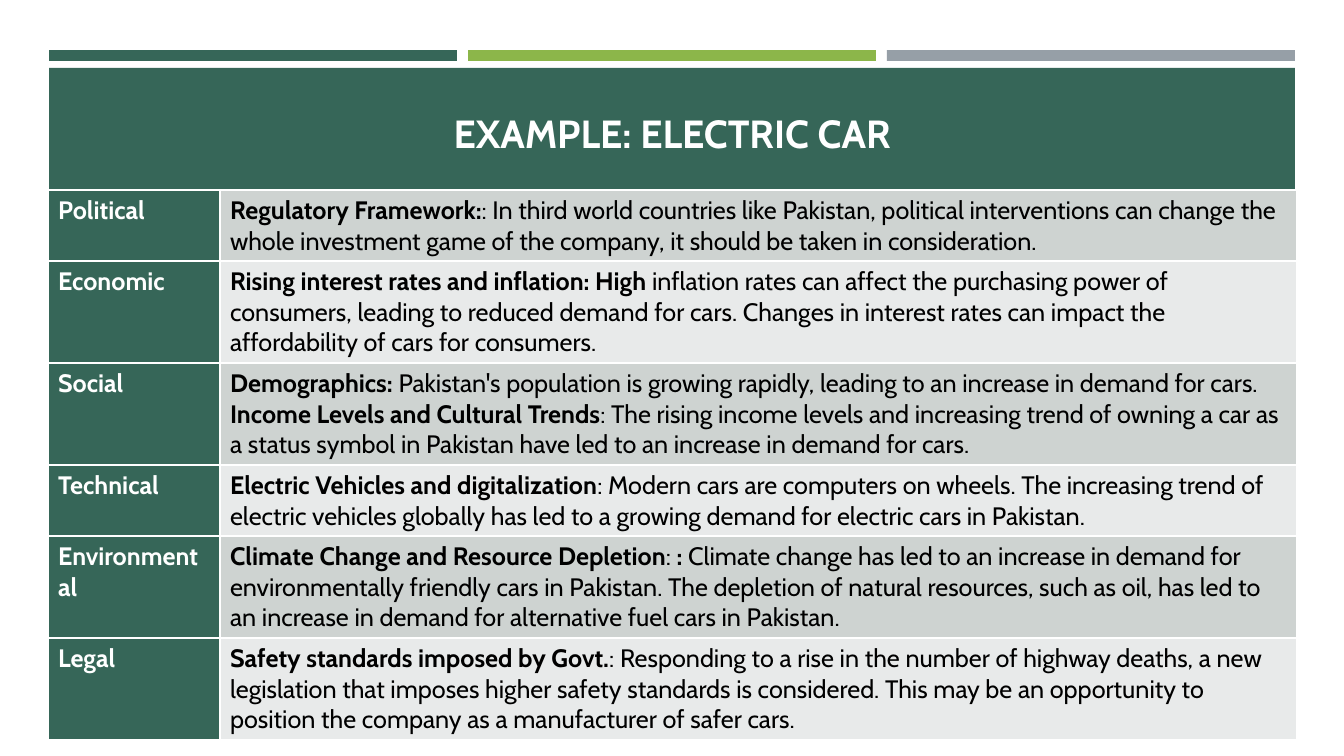
from pptx import Presentation
from pptx.dml.color import RGBColor as RGB
from pptx.enum.shapes import MSO_SHAPE as Shape
from pptx.enum.text import MSO_ANCHOR as Anchor, PP_ALIGN as Align
from pptx.oxml import parse_xml
from pptx.oxml.ns import nsdecls
from pptx.util import Pt

PX = 914400 / 100.8
GREEN, LIME, GREY, WHITE, BLACK = "366658", "8CB64A", "969FA7", "FFFFFF", "000000"
BANDS = ["CED3D1", "E8EAEA"]


def px(*sizes):
    return [round(size * PX) for size in sizes]


def write(frame, text, size=18, color=BLACK, align=Align.LEFT, anchor=Anchor.TOP):
    """Bold and regular runs take turns, parted by a bar."""
    frame.word_wrap = True
    frame.vertical_anchor = anchor
    para = frame.paragraphs[0]
    para.alignment = align
    for i, part in enumerate(text.split("|")):
        run = para.add_run()
        run.text = part
        run.font.name = "Cabin"
        run.font.size = Pt(size)
        run.font.bold = i % 2 == 0
        run.font.color.rgb = RGB.from_string(color)


prs = Presentation()
prs.slide_width, prs.slide_height = px(1344, 756)
slide = prs.slides.add_slide(prs.slide_layouts[6])
shapes = slide.shapes

# Top bars and title band
blocks = [(49 + 419 * i, 50, 408, 11, color) for i, color in enumerate([GREEN, LIME, GREY])]
blocks.append((49, 68, 1246, 131, GREEN))
for *place, color in blocks:
    block = shapes.add_shape(Shape.RECTANGLE, *px(*place))
    block.shadow.inherit = False
    block.fill.solid()
    block.fill.fore_color.rgb = RGB.from_string(color)
    block.line.fill.background()

# Title
title = shapes.add_textbox(*px(64, 49, 1216, 112))
write(title.text_frame, "EXAMPLE: ELECTRIC CAR", size=28, color=WHITE,
      align=Align.CENTER, anchor=Anchor.BOTTOM)

# Table: factor, row height, text
rows = [
    ("Political", 71, "Regulatory Framework:|: In third world countries like Pakistan, political "
     "interventions can change the whole investment game of the company, it should be taken in "
     "consideration."),
    ("Economic", 102, "Rising interest rates and inflation: High| inflation rates can affect the "
     "purchasing power of consumers, leading to reduced demand for cars. Changes in interest "
     "rates can impact the affordability of cars for consumers."),
    ("Social", 102, "Demographics: |Pakistan's population is growing rapidly, leading to an "
     "increase in demand for cars. |Income Levels and Cultural Trends|: The rising income levels "
     "and increasing trend of owning a car as a status symbol in Pakistan have led to an "
     "increase in demand for cars."),
    ("Technical", 71, "Electric Vehicles and digitalization|: Modern cars are computers on "
     "wheels. The increasing trend of electric vehicles globally has led to a growing demand "
     "for electric cars in Pakistan."),
    ("Environmental", 102, "Climate Change and Resource Depletion|: |: |Climate change has led to "
     "an increase in demand for environmentally friendly cars in Pakistan. The depletion of "
     "natural resources, such as oil, has led to an increase in demand for alternative fuel "
     "cars in Pakistan."),
    ("Legal", 102, "Safety standards imposed by Govt.|: Responding to a rise in the number of "
     "highway deaths, a new legislation that imposes higher safety standards is considered. "
     "This may be an opportunity to position the company as a manufacturer of safer cars."),
]
height = sum(row[1] for row in rows)
table = shapes.add_table(len(rows), 2, *px(48, 190, 1249, height)).table
table.first_row = table.horz_banding = False
table.columns[0].width, table.columns[1].width = px(172, 1077)

for r, (factor, tall, text) in enumerate(rows):
    table.rows[r].height = px(tall)[0]
    cells = [(factor, WHITE, GREEN), (text, BLACK, BANDS[r % 2])]
    for c, (words, color, fill) in enumerate(cells):
        cell = table.cell(r, c)
        write(cell.text_frame, words, color=color)
        props = cell._tc.get_or_add_tcPr()
        for side in "LRTB":
            props.append(parse_xml(
                f'<a:ln{side} {nsdecls("a")} w="12700"><a:solidFill>'
                f'<a:srgbClr val="{WHITE}"/></a:solidFill></a:ln{side}>'))
        cell.fill.solid()
        cell.fill.fore_color.rgb = RGB.from_string(fill)

prs.save("out.pptx")
